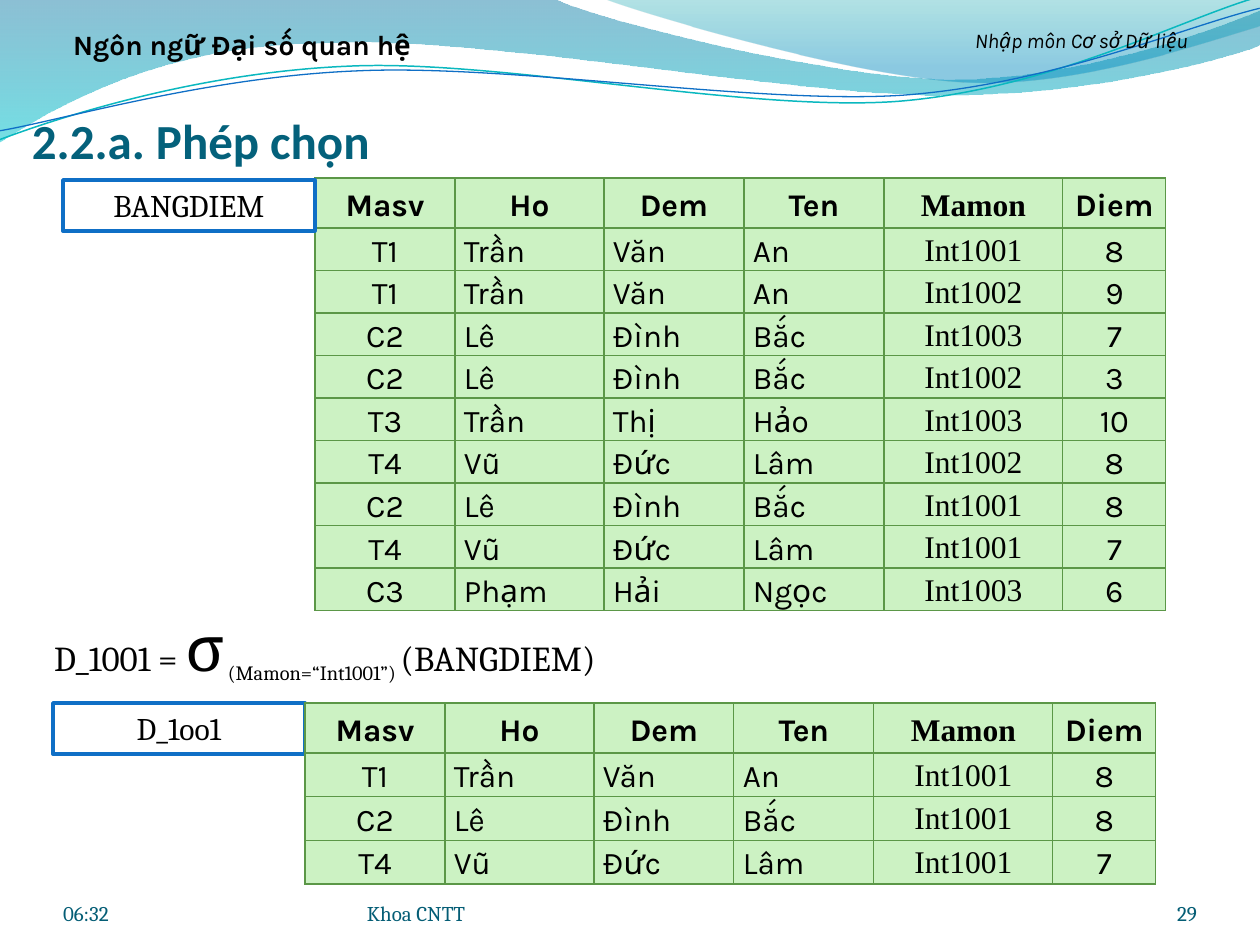
from lxml.etree import SubElement
from pptx import Presentation
from pptx.dml.color import RGBColor
from pptx.enum.shapes import MSO_SHAPE
from pptx.enum.text import MSO_ANCHOR, PP_ALIGN
from pptx.oxml.ns import qn
from pptx.util import Pt

PX = 914400 / 126
COLORS = {
    "ink": "000000", "white": "FFFFFF", "title": "04617B", "foot": "045D75",
    "blue": "0F6FC6", "teal": "0AB8BF", "cell": "CCF2C3", "edge": "5B9747",
    "deep": "0074A1", "aqua": "00C6CF", "sea": "00A1A9", "sky": "008BBF",
}
LEFT, MID, RIGHT = PP_ALIGN.LEFT, PP_ALIGN.CENTER, PP_ALIGN.RIGHT
TOP, CENTER, BASE = MSO_ANCHOR.TOP, MSO_ANCHOR.MIDDLE, MSO_ANCHOR.BOTTOM

HEAD = ["Masv", "Ho", "Dem", "Ten", "Mamon", "Diem"]
GRADES = [
    ["T1", "Trần", "Văn", "An", "Int1001", "8"],
    ["T1", "Trần", "Văn", "An", "Int1002", "9"],
    ["C2", "Lê", "Đình", "Bắc", "Int1003", "7"],
    ["C2", "Lê", "Đình", "Bắc", "Int1002", "3"],
    ["T3", "Trần", "Thị", "Hảo", "Int1003", "10"],
    ["T4", "Vũ", "Đức", "Lâm", "Int1002", "8"],
    ["C2", "Lê", "Đình", "Bắc", "Int1001", "8"],
    ["T4", "Vũ", "Đức", "Lâm", "Int1001", "7"],
    ["C3", "Phạm", "Hải", "Ngọc", "Int1003", "6"],
]
PICKED = [row for row in GRADES if row[4] == "Int1001"]
WIDTHS = [140, 149, 140, 140, 179, 103]


def px(n):
    return round(n * PX)


def rgb(name):
    return RGBColor.from_string(COLORS[name])


def add_run(para, text, font, size, color="ink", bold=False, italic=False):
    run = para.add_run()
    run.text = text
    face = run.font
    face.name, face.size, face.bold, face.italic = font, Pt(size), bold, italic
    face.color.rgb = rgb(color)
    return run


def set_frame(frame, anchor, pad):
    frame.word_wrap = True
    frame.vertical_anchor = anchor
    frame.margin_left, frame.margin_top, frame.margin_right, frame.margin_bottom = map(px, pad)


def add_text(slide, box, align=LEFT, anchor=TOP, pad=(13, 6, 13, 6)):
    frame = slide.shapes.add_textbox(*map(px, box)).text_frame
    set_frame(frame, anchor, pad)
    para = frame.paragraphs[0]
    para.alignment = align
    return para


# Header waves: each path is a list of steps, 2 numbers a line, 6 a curve
def add_path(slide, box, steps, close):
    left, top = box
    ends = [(px(left + s[-2]), px(top + s[-1])) for s in steps]
    form = slide.shapes.build_freeform(*ends[0], scale=1.0)
    form.add_line_segments(ends[1:], close=close)
    shape = form.convert_to_shape()
    shape.shadow.inherit = False
    lines = list(shape.element.iter(qn("a:lnTo")))
    for line, step in zip(lines, steps[1:]):
        if len(step) == 6:
            curve = line.makeelement(qn("a:cubicBezTo"))
            for x, y in zip(step[::2], step[1::2]):
                SubElement(curve, qn("a:pt"), x=str(px(left + x) - shape.left),
                           y=str(px(top + y) - shape.top))
            line.getparent().replace(line, curve)
    return shape


def add_wave(slide, box, steps, stops):
    shape = add_path(slide, box, steps, True)
    shape.line.fill.background()
    shape.fill.gradient()
    shape.fill.gradient_angle = 270
    for stop, (place, color, alpha) in zip(shape.fill.gradient_stops, stops):
        stop.position = place
        stop.color.rgb = rgb(color)
    tints = shape.element.spPr.iter(qn("a:srgbClr"))
    for tint, (place, color, alpha) in zip(tints, stops):
        SubElement(tint, qn("a:alpha"), val=str(alpha * 1000))


def add_curve(slide, box, steps, color, width):
    shape = add_path(slide, box, steps, False)
    shape.rotation = 357.3
    shape.fill.background()
    shape.line.color.rgb = rgb(color)
    shape.line.width = Pt(width)


def add_banner(slide, box):
    add_wave(slide, box, [
        (0, -1), (554, -1), (600, 21, 837, 79, 955, 79), (1074, 79, 1207, 33, 1260, 11),
        (1261, 45), (1239, 55, 1096, 96, 940, 95), (784, 95, 481, 35, 324, 43),
        (163, 44, 58, 105, -1, 142)], [(0, "deep", 45), (1, "aqua", 55)])
    add_wave(slide, box, [
        (604, -1), (641, 14, 859, 78, 969, 82), (1079, 87, 1211, 40, 1260, 26),
        (1260, 0)], [(0, "sea", 30), (0.8, "sky", 45)])
    add_curve(slide, box, [
        (-3, 110), (59, 90, 199, 52, 350, 53), (499, 53, 745, 118, 896, 114),
        (1049, 109, 1184, 45, 1260, 27)], "teal", 0.85)
    add_curve(slide, box, [
        (-2, 101), (57, 94, 207, 57, 357, 58), (509, 58, 757, 111, 902, 108),
        (1052, 104, 1188, 52, 1262, 38)], "blue", 0.75)
    # Running heads
    left, top = box
    para = add_text(slide, (left + 903, top + 22, 357, 48), MID)
    add_run(para, "Nhập môn Cơ sở Dữ liệu", "Karla", 12, italic=True)
    para = add_text(slide, (left + 32, top + 22, 420, 47), MID)
    add_run(para, "Ngôn ngữ Đại số quan hệ", "Karla", 16, bold=True)


def add_title(slide, box):
    title = slide.shapes.title
    slide.shapes.element.append(title.element)  # in front of the waves
    title.left, title.top, title.width, title.height = map(px, box)
    set_frame(title.text_frame, BASE, (0, 6, 0, 0))
    para = title.text_frame.paragraphs[0]
    para.alignment = LEFT
    add_run(para, "2.2.a. Phép chọn", "Calibri", 28, "title", bold=True)


def add_label(slide, box, text):
    shape = slide.shapes.add_shape(MSO_SHAPE.RECTANGLE, *map(px, box))
    shape.shadow.inherit = False
    shape.fill.solid()
    shape.fill.fore_color.rgb = rgb("white")
    shape.line.color.rgb = rgb("blue")
    shape.line.width = Pt(2)
    set_frame(shape.text_frame, TOP, (13, 6, 13, 6))
    para = shape.text_frame.paragraphs[0]
    para.alignment = MID
    add_run(para, text, "Cambria", 18)


def fill_cell(cell, text, col, head):
    cell.margin_left = cell.margin_right = px(9)
    cell.margin_top = cell.margin_bottom = 0
    cell.vertical_anchor = CENTER if head else TOP
    para = cell.text_frame.paragraphs[0]
    para.alignment = LEFT if col in (1, 2, 3) and not head else MID
    para.line_spacing = 1.15
    add_run(para, text, "Times New Roman" if col == 4 else "Karla", 18, bold=head)
    props = cell._tc.get_or_add_tcPr()
    for side in ("lnL", "lnR", "lnT", "lnB"):
        line = SubElement(props, qn("a:" + side), w=str(Pt(0.75)))
        paint = SubElement(line, qn("a:solidFill"))
        SubElement(paint, qn("a:srgbClr"), val=COLORS["edge"])
    cell.fill.solid()
    cell.fill.fore_color.rgb = rgb("cell")


def add_grid(slide, box, rows):
    left, top, high = box
    rows = [HEAD] + rows
    table = slide.shapes.add_table(
        len(rows), len(HEAD), px(left), px(top), px(sum(WIDTHS)), px(high)).table
    for col, wide in zip(table.columns, WIDTHS):
        col.width = px(wide)
    for r, row in enumerate(rows):
        table.rows[r].height = px((high - 50) / (len(rows) - 1) if r else 50)
        for c, text in enumerate(row):
            fill_cell(table.cell(r, c), text, c, r == 0)


def add_rule(slide, box):
    para = add_text(slide, box, anchor=CENTER)
    add_run(para, "D_1001 = ", "Cambria", 20)
    add_run(para, "σ", "Cambria", 36)
    low = add_run(para, " (Mamon=“Int1001”) ", "Cambria", 20)
    low.font._element.set("baseline", "-25000")
    add_run(para, "(BANGDIEM)", "Cambria", 20)


def add_footer(slide, box):
    left, top, wide, high = box
    for x, w, text, align in [(0, 294, "06:32", LEFT), (304, 462, "Khoa CNTT", LEFT),
                              (wide - 105, 105, "29", RIGHT)]:
        para = add_text(slide, (left + x, top, w, high), align, BASE, (0, 0, 0, 0))
        add_run(para, text, "Cambria", 12, "foot")


def main():
    deck = Presentation()
    deck.slide_width, deck.slide_height = px(1260), px(945)
    slide = deck.slides.add_slide(deck.slide_layouts[5])
    add_banner(slide, (0, 0))
    add_footer(slide, (63, 876, 1134, 50))
    add_title(slide, (32, 84, 1134, 85))
    add_grid(slide, (315, 178, 433), GRADES)
    add_label(slide, (63, 180, 252, 51), "BANGDIEM")
    add_label(slide, (53, 703, 252, 51), "D_1oo1")
    add_grid(slide, (305, 703, 181), PICKED)
    add_rule(slide, (41, 610, 672, 73))
    deck.save("out.pptx")


if __name__ == "__main__":
    main()
